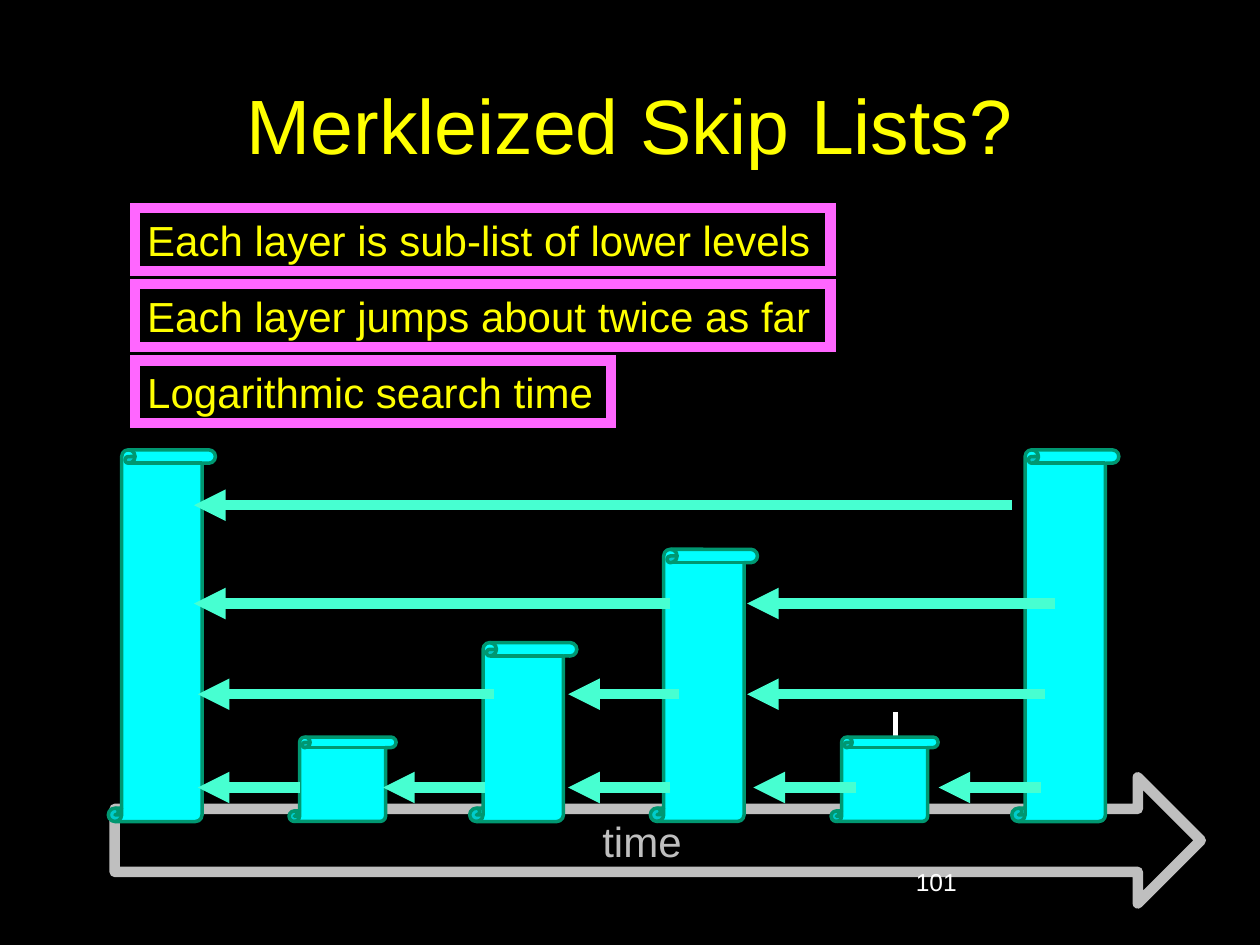
from lxml import etree
from pptx import Presentation
from pptx.dml.color import RGBColor
from pptx.enum.shapes import MSO_CONNECTOR, MSO_SHAPE
from pptx.enum.text import MSO_ANCHOR, PP_ALIGN
from pptx.oxml.ns import qn
from pptx.util import Pt

LINE = MSO_CONNECTOR.STRAIGHT
RECT, SCROLL, ARROW = MSO_SHAPE.RECTANGLE, MSO_SHAPE.VERTICAL_SCROLL, MSO_SHAPE.RIGHT_ARROW
TOP, MIDDLE = MSO_ANCHOR.TOP, MSO_ANCHOR.MIDDLE
LEFT, CENTER = PP_ALIGN.LEFT, PP_ALIGN.CENTER
FONT = "Arial"
BLACK, WHITE, YELLOW, GREY = "000000", "FFFFFF", "FFFF00", "BFBFBF"
PINK, CYAN, GREEN, MINT = "FF66FF", "00FFFF", "009771", "47FFD1"

SCROLL_HEIGHTS = [295, 67, 142, 216, 67, 295]
POINTERS = [(152 + 147 * i, 71 + 147 * i, 268) for i in range(5)] + [
    (306, 71, 194), (453, 365, 194), (743, 507, 194),
    (751, 507, 122), (717, 68, 44), (446, 68, 122),
]
CLAIMS = [
    ("Each layer is sub-list of lower levels", 552),
    ("Each layer jumps about twice as far", 552),
    ("Logarithmic search time", 378),
]


def px(n):
    """Turn px, a hundred to the inch, into EMU."""
    return round(n * 9144)


def color(value):
    """Turn a hex string into a colour."""
    return RGBColor.from_string(value)


def write(shape, text, size=24, fill=YELLOW, align=LEFT, anchor=TOP, wrap=True):
    """Write one formatted paragraph into a shape."""
    tf = shape.text_frame
    tf.word_wrap = wrap
    tf.vertical_anchor = anchor
    p = tf.paragraphs[0]
    p.alignment = align
    r = p.add_run()
    r.text = text
    r.font.name = FONT
    r.font.size = Pt(size)
    r.font.color.rgb = color(fill)


def add_text(s, box, text, **fmt):
    """Add a text box."""
    write(s.shapes.add_textbox(*map(px, box)), text, **fmt)


def add_shape(s, kind, box, fill, line, width):
    """Add a filled and outlined preset shape."""
    sp = s.shapes.add_shape(kind, *map(px, box))
    sp.shadow.inherit = False
    sp.fill.solid()
    sp.fill.fore_color.rgb = color(fill)
    sp.line.color.rgb = color(line)
    sp.line.width = Pt(width)
    return sp


def add_line(s, x1, y1, x2, y2, fill, width, arrow=False):
    """Add a straight line, with an arrowhead at its end if asked."""
    c = s.shapes.add_connector(LINE, px(x1), px(y1), px(x2), px(y2))
    c.line.color.rgb = color(fill)
    c.line.width = Pt(width)
    if arrow:
        etree.SubElement(c.line._get_or_add_ln(), qn("a:tailEnd"), type="triangle")
    etree.SubElement(c._element.spPr, qn("a:effectLst"))


def add_time_axis(s, box):
    """Draw the block arrow for time."""
    sp = add_shape(s, ARROW, box, BLACK, GREY, 6)
    write(sp, "time", fill=GREY, align=CENTER, anchor=MIDDLE)


def add_skip_list(s, box):
    """Draw the scrolls on one baseline and the pointers between them."""
    x, y, w, h = box
    scroll_w = 85
    step = (w - scroll_w) / (len(SCROLL_HEIGHTS) - 1)
    add_line(s, x + 625, y + 208, x + 625, y + 276, WHITE, 3)
    for i, height in enumerate(SCROLL_HEIGHTS):
        scroll = (x + i * step, y + h - height, scroll_w, height)
        add_shape(s, SCROLL, scroll, CYAN, GREEN, 2)
    for start, end, level in POINTERS:
        add_line(s, x + start, y + level, x + end, y + level, MINT, 6, arrow=True)


def add_claims(s, box):
    """Stack the framed statements at equal steps."""
    x, y, _, h = box
    row_h = 50
    step = (h - row_h) / (len(CLAIMS) - 1)
    for i, (text, w) in enumerate(CLAIMS):
        sp = add_shape(s, RECT, (x, y + i * step, w, row_h), BLACK, PINK, 6)
        etree.SubElement(sp.line._get_or_add_ln(), qn("a:miter"), lim="800000")
        write(sp, text, wrap=False)


def main():
    """Build the slide and save it."""
    prs = Presentation()
    prs.slide_width, prs.slide_height = px(1000), px(750)
    s = prs.slides.add_slide(prs.slide_layouts[6])
    s.background.fill.solid()
    s.background.fill.fore_color.rgb = color(BLACK)
    add_time_axis(s, (91, 617, 862, 100))
    add_text(s, (717, 683, 233, 52), "101", size=14, fill=WHITE)
    add_text(s, (75, 36, 850, 125), "Merkleized Skip Lists?",
             size=44, align=CENTER, anchor=MIDDLE)
    add_skip_list(s, (86, 357, 802, 295))
    add_claims(s, (107, 165, 552, 171))
    prs.save("out.pptx")


if __name__ == "__main__":
    main()
